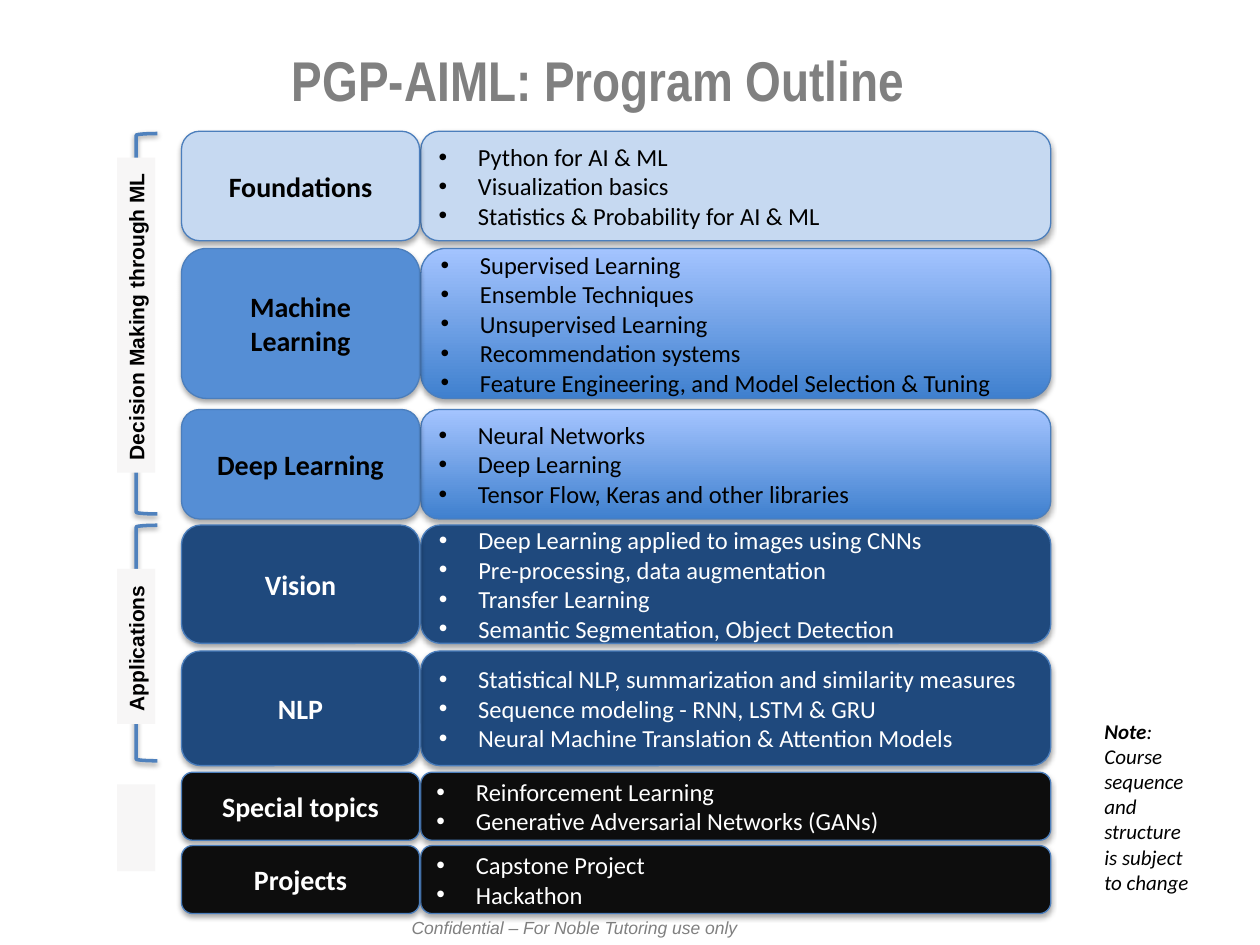
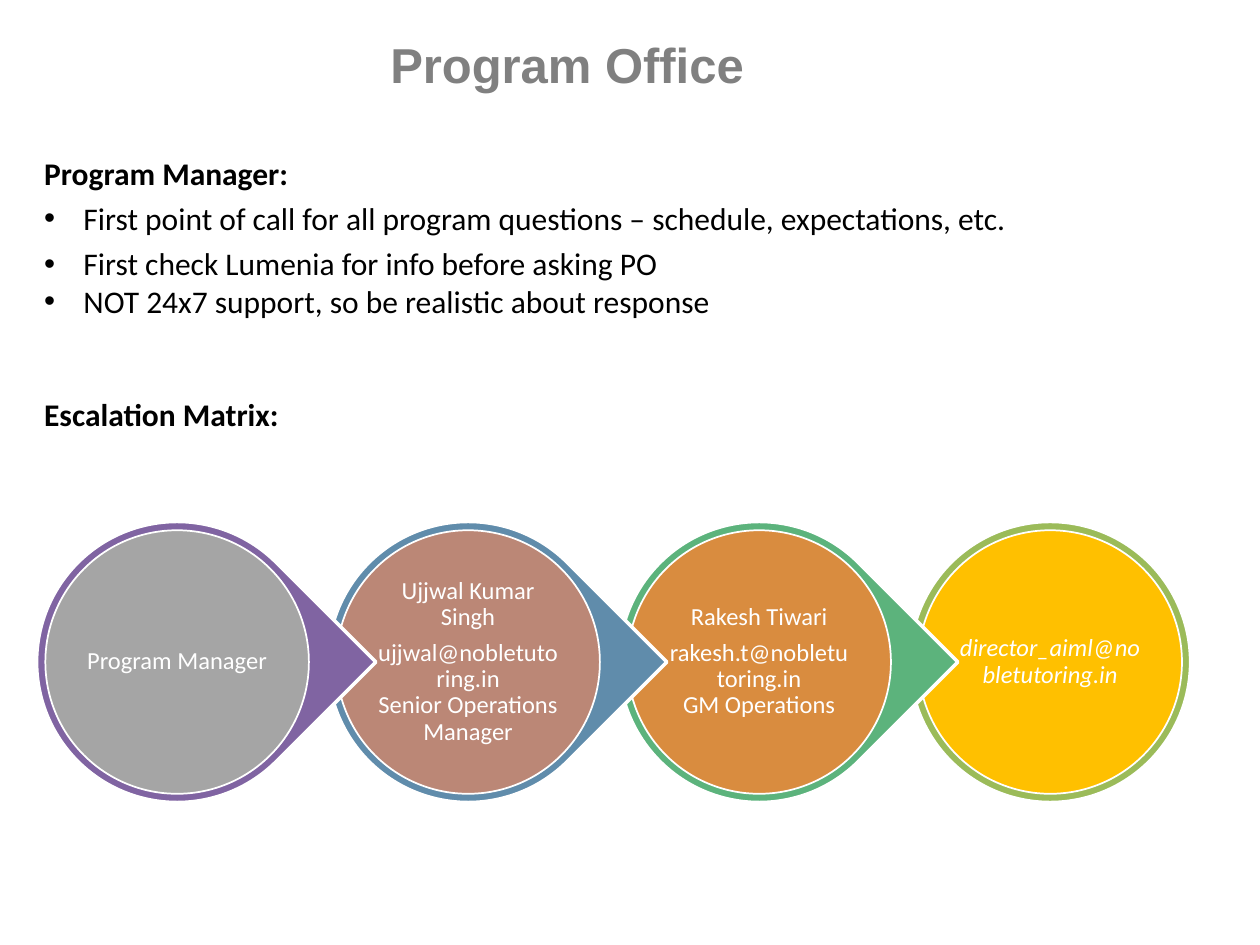
import dataclasses

import pptx
import pptx.dml.color
import pptx.enum.shapes
import pptx.enum.text
import pptx.oxml
import pptx.oxml.ns
import pptx.util
from lxml import etree

Pt = pptx.util.Pt
SHAPE = pptx.enum.shapes.MSO_SHAPE
ALIGN = pptx.enum.text.PP_ALIGN
ANCHOR = pptx.enum.text.MSO_ANCHOR
qn = pptx.oxml.ns.qn


@dataclasses.dataclass(frozen=True)
class Theme:
    black: str = "000000"
    white: str = "FFFFFF"
    grey: str = "808080"
    label: str = "F7F6F6"
    edge: str = "4B7EBC"
    bracket: str = "4F81BD"
    pale: str = "C6D9F1"
    blue: str = "558ED5"
    fade: tuple = ("3F80CE", "A4C4FF")
    navy: str = "1F497D"
    ink: str = "0D0D0D"
    body: str = "Calibri"
    sans: str = "Arial"
    narrow: str = "Arial Narrow"
    tiny: int = 10
    small: int = 12
    item: int = 14
    head: int = 16
    text: int = 18
    indent: float = 22.5


THEME = Theme()

# Top, height, label fill, list fill, text colour, label, list items
ROWS = [
    (75, 62.6, THEME.pale, THEME.pale, THEME.black, "Foundations",
     "Python for AI & ML\nVisualization basics\n"
     "Statistics & Probability for AI & ML"),
    (142, 85.7, THEME.blue, THEME.fade, THEME.black, "Machine Learning",
     "Supervised Learning\nEnsemble Techniques\nUnsupervised Learning\n"
     "Recommendation systems\n"
     "Feature Engineering, and Model Selection & Tuning"),
    (234, 62.6, THEME.blue, THEME.fade, THEME.black, "Deep Learning",
     "Neural Networks\nDeep Learning\n"
     "Tensor Flow, Keras and other libraries"),
    (300, 67.7, THEME.navy, THEME.navy, THEME.white, "Vision",
     "Deep Learning applied to images using CNNs\n"
     "Pre-processing, data augmentation\nTransfer Learning\n"
     "Semantic Segmentation, Object Detection"),
    (372, 65.5, THEME.navy, THEME.navy, THEME.white, "NLP",
     "Statistical NLP, summarization and similarity measures\n"
     "Sequence modeling - RNN, LSTM & GRU\n"
     "Neural Machine Translation & Attention Models"),
    (441.3, 38.9, THEME.ink, THEME.ink, THEME.white, "Special topics",
     "Reinforcement Learning\nGenerative Adversarial Networks (GANs)"),
    (483.2, 38.9, THEME.ink, THEME.ink, THEME.white, "Projects",
     "Capstone Project\nHackathon"),
]

# Ring colour, disc colour, contact text, italic
STEPS = [
    ("8064A2", "A5A5A5", "Program Manager", False),
    ("608CAB", "BB8776", "Ujjwal Kumar Singh\nujjwal@nobletutoring.in\v"
     "Senior Operations Manager", False),
    ("5CB37C", "D98C3F", "Rakesh Tiwari\nrakesh.t@nobletutoring.in\v"
     "GM Operations", False),
    ("9BBB59", "FFC000", "director_aiml@nobletutoring.in", True),
]


def tint(code):
    return pptx.dml.color.RGBColor.from_string(code)


def mark(para, bullet):
    """Set the bullet and hanging indent, or clear inherited ones."""
    props = para._p.get_or_add_pPr()
    hang = Pt(THEME.indent) if bullet else 0
    props.set("marL", str(hang))
    props.set("indent", str(-hang))
    if bullet:
        etree.SubElement(props, qn("a:buFont"), typeface=THEME.sans)
        etree.SubElement(props, qn("a:buChar"), char="•")
    else:
        etree.SubElement(props, qn("a:buNone"))


def write(frame, text, *, size, color=THEME.black, face=THEME.body,
          bold=False, slant=False, align=ALIGN.LEFT, bullet=False,
          lead="", before=0, after=0, line=None):
    """Add one paragraph per text line; lead is a bold opening."""
    for part in text.split("\n"):
        para = frame.add_paragraph() if frame.text else frame.paragraphs[0]
        mark(para, bullet)
        para.alignment = align
        para.space_before, para.space_after = Pt(before), Pt(after)
        para.line_spacing = line
        if lead:
            para.add_run().text = lead
        for index, piece in enumerate(part.split("\v")):
            if index:
                para.add_line_break()
            para.add_run().text = piece
        for index, run in enumerate(para.runs):
            font = run.font
            font.name, font.size, font.italic = face, Pt(size), slant
            font.bold = bold or bool(lead and index == 0)
            font.color.rgb = tint(color)


def place(item, left, top, width, height):
    item.left, item.top = Pt(left), Pt(top)
    item.width, item.height = Pt(width), Pt(height)


def shade(shape, alpha, drop):
    effects = shape._element.spPr.find(qn("a:effectLst"))
    outer = etree.SubElement(
        effects, qn("a:outerShdw"), blurRad=str(Pt(3.15)), dist=str(Pt(drop)),
        dir="5400000", rotWithShape="0")
    color = etree.SubElement(outer, qn("a:srgbClr"), val=THEME.black)
    etree.SubElement(color, qn("a:alpha"), val=str(alpha * 1000))


def draw(slide, kind, area, fill=None, edge=None, weight=1):
    """Add a flat shape; a pair of fills makes an upward gradient."""
    shape = slide.shapes.add_shape(kind, *map(Pt, area))
    shape.shadow.inherit = False
    if fill is None:
        shape.fill.background()
    elif isinstance(fill, tuple):
        shape.fill.gradient()
        shape.fill.gradient_angle = 90
        for stop, code in zip(shape.fill.gradient_stops, fill):
            stop.color.rgb = tint(code)
    else:
        shape.fill.solid()
        shape.fill.fore_color.rgb = tint(fill)
    if edge:
        shape.line.color.rgb = tint(edge)
        shape.line.width = Pt(weight)
    else:
        shape.line.fill.background()
    return shape


def title(slide, text, area, face, size):
    item = slide.shapes.title
    place(item, *area)
    item.text_frame.vertical_anchor = ANCHOR.MIDDLE
    write(item.text_frame, text, face=face, size=size, color=THEME.grey,
          bold=True, align=ALIGN.CENTER)


def note(slide, text, area, **style):
    frame = slide.shapes.add_textbox(*map(Pt, area)).text_frame
    frame.word_wrap = True
    write(frame, text, slant=True, **style)


def panel(slide, area, fill):
    shape = draw(slide, SHAPE.ROUNDED_RECTANGLE, area, fill, THEME.edge, 0.75)
    shade(shape, 35, 1.8)
    shape.text_frame.vertical_anchor = ANCHOR.MIDDLE
    return shape.text_frame


def module(slide, top, height, fill, back, color, name, items):
    topics = panel(slide, (240.5, top, 360, height), back)
    write(topics, items, size=THEME.item, color=color, bullet=True)
    label = panel(slide, (103.7, top, 136.1, height), fill)
    write(label, name, size=THEME.head, color=color, bold=True,
          align=ALIGN.CENTER)


def bracket(slide, top, height):
    shape = draw(slide, SHAPE.LEFT_BRACKET, (77.8, top, 12.2, height),
                 edge=THEME.bracket, weight=2)
    shade(shape, 38, 1.6)


def tag(slide, middle, length, text=""):
    """Add an upright label centred on the height given."""
    area = (77.8 - length / 2, middle - 10.9, length, 21.8)
    shape = draw(slide, SHAPE.RECTANGLE, area, THEME.label)
    shape.rotation = 270
    if text:
        frame = shape.text_frame
        frame.word_wrap = False
        frame.vertical_anchor = ANCHOR.TOP
        write(frame, text, face=THEME.sans, size=THEME.small, bold=True)


def outline(slide):
    title(slide, "PGP-AIML: Program Outline", (36, 0, 612, 90),
          THEME.narrow, 32)
    note(slide, ": Course sequence and structure is subject to change",
         (624, 406.8, 66.5, 108.7), size=THEME.small, lead="Note")
    note(slide, "Confidential – For Noble Tutoring use only",
         (228.2, 520.6, 223.2, 19.4), size=THEME.tiny, face=THEME.sans,
         color=THEME.grey)
    for row in ROWS:
        module(slide, *row)
    bracket(slide, 76.3, 217.4)
    bracket(slide, 300.2, 134.6)
    tag(slide, 180, 180, "Decision Making through ML")
    tag(slide, 369.4, 88.6, "Applications")
    tag(slide, 473, 49.7)


def step(slide, index, ring, disc, text, slant):
    left, top, size, rim = 20.9 + 166.3 * index, 298, 160.6, 5
    last = index == len(STEPS) - 1
    kind = SHAPE.OVAL if last else SHAPE.TEAR
    outer = draw(slide, kind, (left, top, size, size), ring, THEME.white, 2)
    outer.rotation = 0 if last else 45
    inner = size - 2 * rim
    shape = draw(slide, SHAPE.OVAL, (left + rim, top + rim, inner, inner),
                 disc, THEME.white, 1)
    frame = shape.text_frame
    frame.word_wrap = True
    frame.vertical_anchor = ANCHOR.MIDDLE
    frame.margin_left = frame.margin_right = Pt(1.4)
    frame.margin_top = frame.margin_bottom = Pt(1.4)
    write(frame, text, size=THEME.item, color=THEME.white, slant=slant,
          align=ALIGN.CENTER, line=0.9, after=4.9)


def office(slide):
    title(slide, "Program Office", (18, 12.2, 612, 48.2), THEME.sans, 28)
    body = slide.placeholders[1]
    place(body, 18, 84.2, 671.8, 212.4)
    frame = body.text_frame
    frame.auto_size = pptx.enum.text.MSO_AUTO_SIZE.NONE
    frame.vertical_anchor = ANCHOR.TOP
    write(frame, "Program Manager:", size=THEME.text, bold=True)
    write(frame, "First point of call for all program questions – schedule, "
          "expectations, etc.\nFirst check Lumenia for info before asking PO",
          size=THEME.text, bullet=True, line=1.2)
    write(frame, "NOT 24x7 support, so be realistic about response",
          size=THEME.text, bullet=True)
    write(frame, "Escalation Matrix:", size=THEME.text, bold=True, before=43)
    for index in reversed(range(len(STEPS))):
        step(slide, index, *STEPS[index])


def main():
    deck = pptx.Presentation()
    deck.slide_width, deck.slide_height = Pt(720), Pt(540)
    outline(deck.slides.add_slide(deck.slide_layouts[5]))
    office(deck.slides.add_slide(deck.slide_layouts[1]))
    deck.save("out.pptx")


if __name__ == "__main__":
    main()
